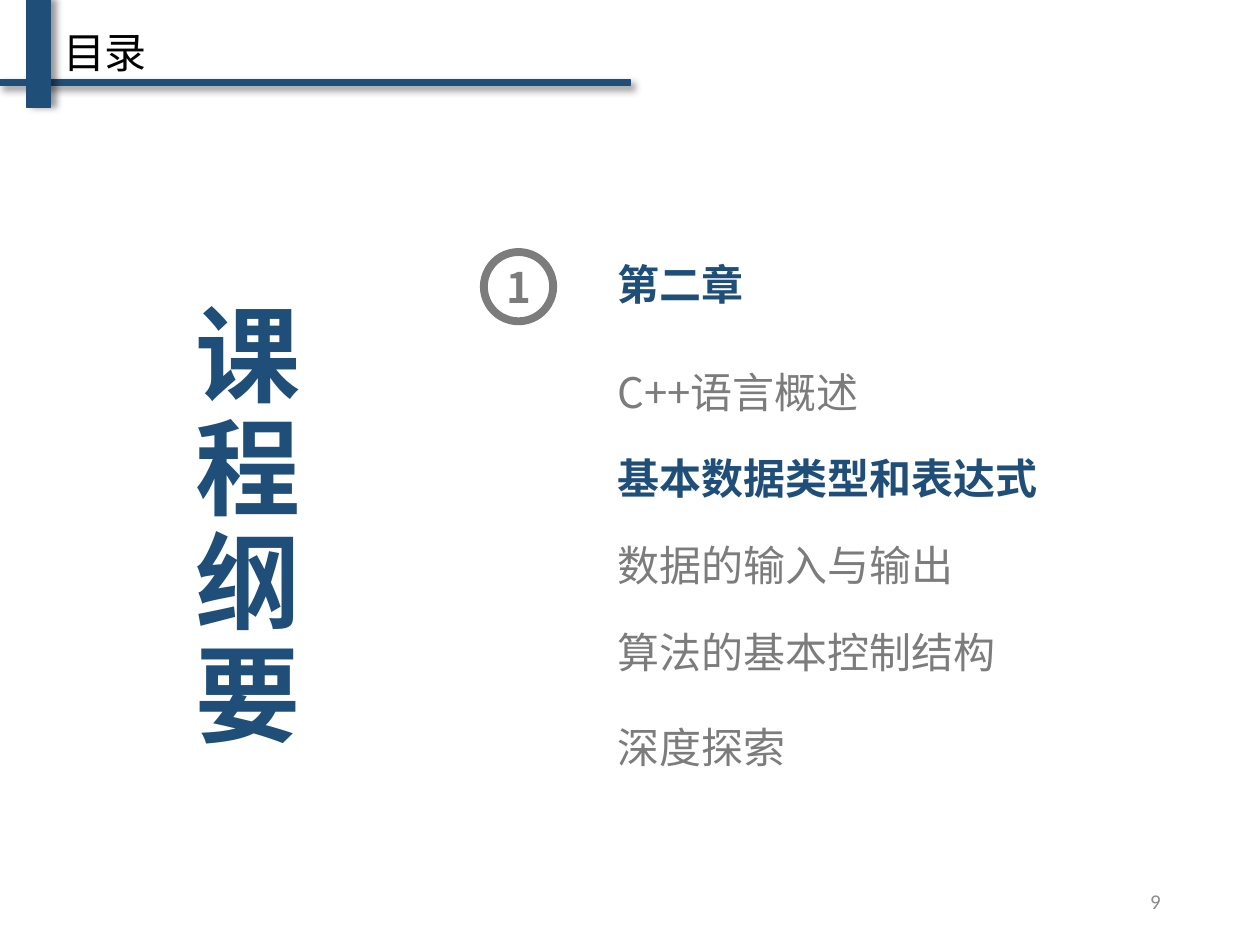
"""Build the course outline slide."""
from dataclasses import dataclass

from lxml.etree import SubElement
from pptx import Presentation
from pptx.dml.color import RGBColor as RGB
from pptx.enum.shapes import MSO_SHAPE as Shape
from pptx.enum.text import MSO_ANCHOR as Anchor, MSO_AUTO_SIZE as Fit, PP_ALIGN as Align
from pptx.oxml.ns import qn
from pptx.util import Inches, Pt


@dataclass(frozen=True)
class Theme:
    blue: str = "1F4E79"
    gray: str = "7C7C7C"
    pale: str = "8C8C8C"
    black: str = "000000"
    font: str = "Noto Sans CJK SC"
    latin: str = "Calibri"
    hero: int = 60
    body: int = 24
    small: int = 12


class Deck:
    def __init__(self, theme):
        self.theme = theme
        self.prs = Presentation()
        self.prs.slide_width, self.prs.slide_height = Inches(10), Inches(7.5)
        self.slide = self.prs.slides.add_slide(self.prs.slide_layouts[5])

    def fill_text(self, shape, text, color, size, bold=False, align=Align.LEFT,
                  anchor=Anchor.MIDDLE, space=None, font=None):
        frame = shape.text_frame
        frame.text = text
        frame.word_wrap = True
        frame.vertical_anchor = anchor
        para = frame.paragraphs[0]
        para.alignment, para.line_spacing = align, space
        face = para.runs[0].font
        face.name = font or self.theme.font
        face.size, face.bold = Pt(size), bold
        face.color.rgb = RGB.from_string(color)
        east = SubElement(para.runs[0]._r.get_or_add_rPr(), qn("a:ea"))
        east.set("typeface", face.name)

    def title(self, text, box):
        shape = self.slide.shapes.title
        shape.left, shape.top, shape.width, shape.height = map(Inches, box)
        self.fill_text(shape, text, self.theme.black, self.theme.body, anchor=Anchor.TOP)
        shape.text_frame.auto_size = Fit.SHAPE_TO_FIT_TEXT

    def label(self, text, box, color, size, **style):
        shape = self.slide.shapes.add_textbox(*map(Inches, box))
        self.fill_text(shape, text, color, size, **style)

    def bar(self, box, width, angle):
        shape = self.slide.shapes.add_shape(Shape.RECTANGLE, *map(Inches, box))
        shape.fill.solid()
        shape.fill.fore_color.rgb = RGB.from_string(self.theme.blue)
        shape.line.color.rgb = RGB.from_string(self.theme.blue)
        shape.line.width = Pt(width)
        self.shade(shape, angle)

    def shade(self, shape, angle):
        shape.shadow.inherit = False
        effects = shape._element.spPr.find(qn("a:effectLst"))
        shadow = SubElement(effects, qn("a:outerShdw"), blurRad=str(Pt(4)),
                            dist=str(Pt(3)), dir=str(angle * 60000),
                            algn="tl", rotWithShape="0")
        color = SubElement(shadow, qn("a:srgbClr"), val=self.theme.black)
        SubElement(color, qn("a:alpha"), val="40000")

    def badge(self, text, box):
        shape = self.slide.shapes.add_shape(Shape.OVAL, *map(Inches, box))
        shape.shadow.inherit = False
        shape.fill.background()
        shape.line.color.rgb = RGB.from_string(self.theme.gray)
        shape.line.width = Pt(4.5)
        self.fill_text(shape, text, self.theme.gray, self.theme.body, True, Align.CENTER)
        frame = shape.text_frame
        frame.margin_left = frame.margin_right = 0
        frame.margin_top = frame.margin_bottom = 0


def main():
    theme = Theme()
    deck = Deck(theme)
    deck.badge("1", (3.84, 2, 0.55, 0.55))
    deck.title("目录", (0.4, 0.16, 2.89, 0.51))
    deck.label("课程纲要", (1.08, 1.83, 1.77, 4.76), theme.blue, theme.hero,
               bold=True, align=Align.CENTER, space=0.9)
    deck.bar((0, 0.63, 5, 0.05), 1, 45)
    deck.bar((0.21, 0, 0.19, 0.85), 0.75, 0)
    items = [
        ("第二章", 1.97, True),
        ("C++语言概述", 2.82, False),
        ("基本数据类型和表达式", 3.51, True),
        ("数据的输入与输出", 4.2, False),
        ("算法的基本控制结构", 4.89, False),
        ("深度探索", 5.64, False),
    ]
    for text, top, focus in items:
        deck.label(text, (4.8, top, 4.38, 0.62), theme.blue if focus else theme.gray,
                   theme.body, bold=focus, space=0.9)
    deck.label("9", (7.06, 6.95, 2.25, 0.4), theme.pale, theme.small,
               align=Align.RIGHT, font=theme.latin)
    deck.prs.save("out.pptx")


if __name__ == "__main__":
    main()
